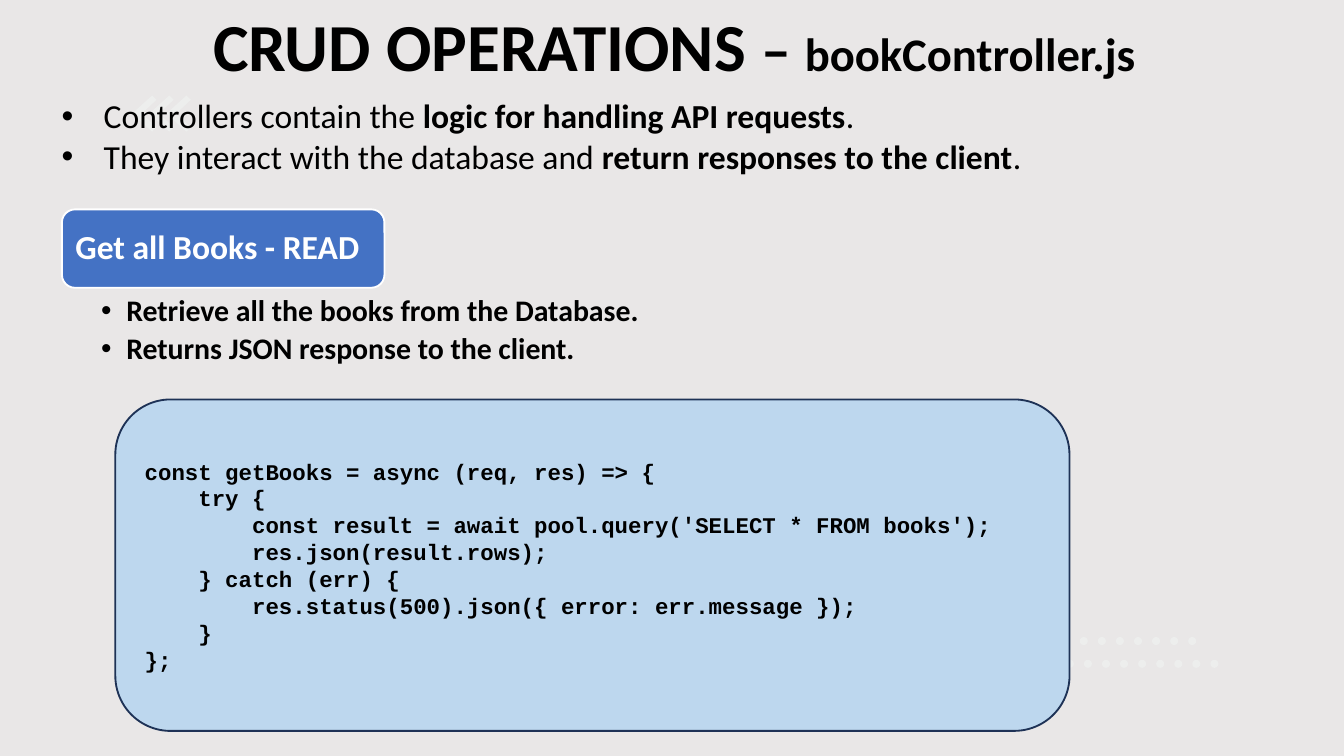
from lxml import etree
from pptx import Presentation
from pptx.dml.color import RGBColor
from pptx.enum.shapes import MSO_SHAPE
from pptx.enum.text import MSO_ANCHOR, PP_ALIGN
from pptx.oxml.ns import qn
from pptx.util import Pt

OVAL, ROUNDED = MSO_SHAPE.OVAL, MSO_SHAPE.ROUNDED_RECTANGLE
LEFT, CENTER = PP_ALIGN.LEFT, PP_ALIGN.CENTER
TOP, MIDDLE = MSO_ANCHOR.TOP, MSO_ANCHOR.MIDDLE

BACKGROUND, DECOR, BLACK, WHITE = "E9E7E7", "F5FCF9", "000000", "FFFFFF"
BLUE, PALE_BLUE, NAVY = "4472C4", "BDD7EE", "1E3256"
DECOR_OPACITY = 36

# Each paragraph is a list of (text, size, bold) runs.
TITLE = [[("CRUD OPERATIONS ", 36, True), ("– ", 32, True),
          ("bookController.js", 25, True)]]
INTRO = [
    [("Controllers contain the ", 18, False),
     ("logic for handling API requests", 18, True), (".", 18, False)],
    [("They interact with the database and ", 18, False),
     ("return responses to the client", 18, True), (".", 18, False)],
]
OPERATION = [[("Get all Books - READ", 18, True)]]
DETAILS = [[(line, 16, True)] for line in (
    "Retrieve all the books from the Database.",
    "Returns JSON response to the client.",
)]
CODE = """const getBooks = async (req, res) => {
    try {
        const result = await pool.query('SELECT * FROM books');
        res.json(result.rows);
    } catch (err) {
        res.status(500).json({ error: err.message });
    }
};"""
CODE_LINES = [[(line, 12, True)] for line in CODE.split("\n")]

DOT_ROWS = [(568.8, 341.3, 8), (571, 353.5, 9)]  # left, top, count
DOT_SIZE, DOT_STEP = 4.3, 9.68
CHEVRON = [(0, 9.7), (10.7, 19.4), (13, 16.9), (5.1, 9.7), (13, 2.3), (10.7, 0)]
CHEVRON_LEFT, CHEVRON_TOP, CHEVRON_STEP, CHEVRON_COUNT = 70.8, 51.2, 9.2, 3


def color(hex_code):
    return RGBColor.from_string(hex_code)


def paint(shape, fill, line=None, opacity=100):
    shape.shadow.inherit = False
    shape.fill.solid()
    shape.fill.fore_color.rgb = color(fill)
    if opacity < 100:
        tint = shape.fill._xPr.find(".//" + qn("a:srgbClr"))
        etree.SubElement(tint, qn("a:alpha"), val=str(opacity * 1000))
    if line:
        shape.line.color.rgb = color(line)
        shape.line.width = Pt(1)
    else:
        shape.line.fill.background()
    return shape


def add_panel(shapes, kind, box, fill, line=None, opacity=100):
    panel = shapes.add_shape(kind, *[Pt(v) for v in box])
    return paint(panel, fill, line, opacity)


def add_text_box(shapes, box):
    return shapes.add_textbox(*[Pt(v) for v in box])


def write(shape, paragraphs, *, font="Calibri", ink=BLACK, align=LEFT, anchor=TOP,
          insets=(7.2, 3.6, 7.2, 3.6), spacing=1.0, after=0, level=0, hanging=0):
    """Fill a shape with runs; a hanging indent brings a bullet with it."""
    frame = shape.text_frame
    frame.word_wrap = True
    frame.vertical_anchor = anchor
    (frame.margin_left, frame.margin_top,
     frame.margin_right, frame.margin_bottom) = [Pt(v) for v in insets]
    for index, runs in enumerate(paragraphs):
        paragraph = frame.add_paragraph() if index else frame.paragraphs[0]
        paragraph.alignment = align
        paragraph.level = level
        paragraph.line_spacing = spacing
        paragraph.space_after = Pt(after)
        if hanging:
            properties = paragraph._p.get_or_add_pPr()
            properties.set("marL", str(Pt(hanging)))
            properties.set("indent", str(-Pt(hanging)))
            etree.SubElement(properties, qn("a:buFont"), typeface="Arial")
            etree.SubElement(properties, qn("a:buChar"), char="•")
        for text, size, bold in runs:
            run = paragraph.add_run()
            run.text = text
            run.font.name = font
            run.font.size = Pt(size)
            run.font.bold = bold
            run.font.color.rgb = color(ink)


def add_decor(shapes):
    for left, top, count in DOT_ROWS:
        for i in range(count):
            add_panel(shapes, OVAL, (left + i * DOT_STEP, top, DOT_SIZE, DOT_SIZE),
                      DECOR, opacity=DECOR_OPACITY)
    for i in range(CHEVRON_COUNT):
        left = CHEVRON_LEFT + i * CHEVRON_STEP
        points = [(Pt(left + x), Pt(CHEVRON_TOP + y)) for x, y in CHEVRON]
        builder = shapes.build_freeform(*points[0])
        builder.add_line_segments(points[1:], close=True)
        paint(builder.convert_to_shape(), DECOR, opacity=DECOR_OPACITY)


def main():
    deck = Presentation()
    deck.slide_width, deck.slide_height = Pt(720), Pt(405)
    slide = deck.slides.add_slide(deck.slide_layouts[6])
    slide.background.fill.solid()
    slide.background.fill.fore_color.rgb = color(BACKGROUND)
    shapes = slide.shapes

    add_decor(shapes)
    write(add_text_box(shapes, (52, 0, 618.5, 39)), TITLE,
          align=CENTER, insets=(7.2,) * 4, spacing=0.9)
    write(add_text_box(shapes, (26, 47.5, 661.5, 51)), INTRO, hanging=22.5)
    write(add_panel(shapes, ROUNDED, (33.2, 112.2, 172.8, 42), BLUE, WHITE), OPERATION,
          ink=WHITE, anchor=MIDDLE, insets=(5.2,) * 4, spacing=0.9)
    write(add_text_box(shapes, (33.2, 157, 668, 83.5)), DETAILS,
          insets=(21, 1.5, 8.6, 1.5), spacing=0.9, after=3, level=1, hanging=13.5)
    write(add_panel(shapes, ROUNDED, (61.8, 214, 511.2, 177.6), PALE_BLUE, NAVY),
          CODE_LINES, font="Courier New", anchor=MIDDLE)

    deck.save("out.pptx")


if __name__ == "__main__":
    main()
